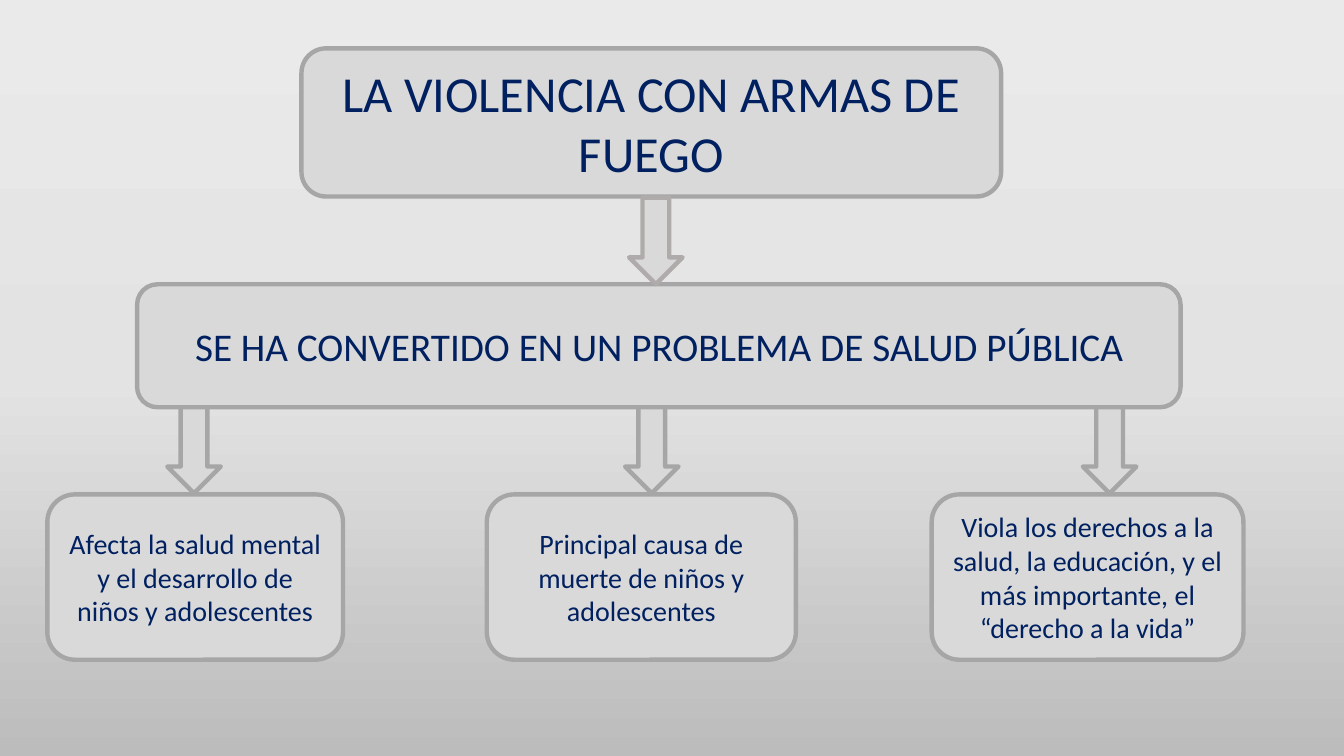
import copy

import pptx
import pptx.dml.color
import pptx.enum.shapes
import pptx.enum.text
import pptx.oxml.ns
import pptx.util

RGBColor = pptx.dml.color.RGBColor
SHAPES = pptx.enum.shapes.MSO_SHAPE

NAVY = RGBColor(0x00, 0x20, 0x60)
PANEL = RGBColor(0xD9, 0xD9, 0xD9)
OUTLINE = RGBColor(0xA6, 0xA6, 0xA6)
WARM_OUTLINE = RGBColor(0xAF, 0xAB, 0xAB)
BACKGROUND = [(0, RGBColor(0xEB, 0xEA, 0xEA)),
              (0.5, RGBColor(0xE4, 0xE3, 0xE3)),
              (1, RGBColor(0xBD, 0xBC, 0xBC))]


class Diagram:
    """Draws on a grid of 100 columns by 100 rows; elements are placed by their centre column."""

    def __init__(self, presentation):
        self.slide = presentation.slides.add_slide(presentation.slide_layouts[6])
        self.column = presentation.slide_width / 100
        self.row = presentation.slide_height / 100
        self.font = {"name": "Calibri"}
        self.line_width = pptx.util.Pt(3.15)

    def background(self, stops):
        fill = self.slide.background.fill
        fill.gradient()
        fill.gradient_angle = 270
        stop_list = next(self.slide.element.iter(pptx.oxml.ns.qn("a:gsLst")))
        while len(stop_list) < len(stops):
            stop_list.append(copy.deepcopy(stop_list[0]))
        for stop, (position, color) in zip(fill.gradient_stops, stops):
            stop.position = position
            stop.color.rgb = color

    def panel(self, kind, center, top, width, height, outline=OUTLINE):
        shape = self.slide.shapes.add_shape(
            kind, round((center - width / 2) * self.column), round(top * self.row),
            round(width * self.column), round(height * self.row))
        shape.shadow.inherit = False
        shape.fill.solid()
        shape.fill.fore_color.rgb = PANEL
        shape.line.color.rgb = outline
        shape.line.width = self.line_width
        return shape

    def arrow(self, center, top, outline=OUTLINE):
        self.panel(SHAPES.DOWN_ARROW, center, top, 3.98, 11.45, outline)

    def box(self, text, size, center, top, width, height,
            kind=SHAPES.FLOWCHART_ALTERNATE_PROCESS):
        frame = self.panel(kind, center, top, width, height).text_frame
        frame.word_wrap = True
        frame.vertical_anchor = pptx.enum.text.MSO_ANCHOR.MIDDLE
        paragraph = frame.paragraphs[0]
        paragraph.alignment = pptx.enum.text.PP_ALIGN.CENTER
        run = paragraph.add_run()
        run.text = text
        run.font.color.rgb = NAVY
        for name, value in {**self.font, "size": pptx.util.Pt(size)}.items():
            setattr(run.font, name, value)


def main():
    presentation = pptx.Presentation()
    presentation.slide_width = pptx.util.Inches(13.33)
    presentation.slide_height = pptx.util.Inches(7.5)
    diagram = Diagram(presentation)
    diagram.background(BACKGROUND)

    # Consequences, each with the arrow that leads to it
    consequences = [
        ("Afecta la salud mental y el desarrollo de niños y adolescentes",
         22, SHAPES.ROUNDED_RECTANGLE),
        ("Principal causa de muerte de niños y adolescentes",
         23, SHAPES.FLOWCHART_ALTERNATE_PROCESS),
        ("Viola los derechos a la salud, la educación, y el más importante, "
         "el “derecho a la vida”", 23.2, SHAPES.FLOWCHART_ALTERNATE_PROCESS),
    ]
    for index, (text, width, kind) in enumerate(consequences):
        diagram.arrow(14.44 + 34.06 * index, 53.8)
        diagram.box(text, 20, 14.52 + 33.2 * index, 65.4, width, 21.87, kind)

    # Problem statement
    diagram.box("SE HA CONVERTIDO EN UN PROBLEMA DE SALUD PÚBLICA",
                28, 49.02, 37.6, 77.64, 16.27)

    # Topic and its arrow
    diagram.box("LA VIOLENCIA CON ARMAS DE FUEGO", 36, 48.46, 6.4, 52.06, 19.6)
    diagram.arrow(48.8, 26.13, WARM_OUTLINE)

    presentation.save("out.pptx")


if __name__ == "__main__":
    main()
